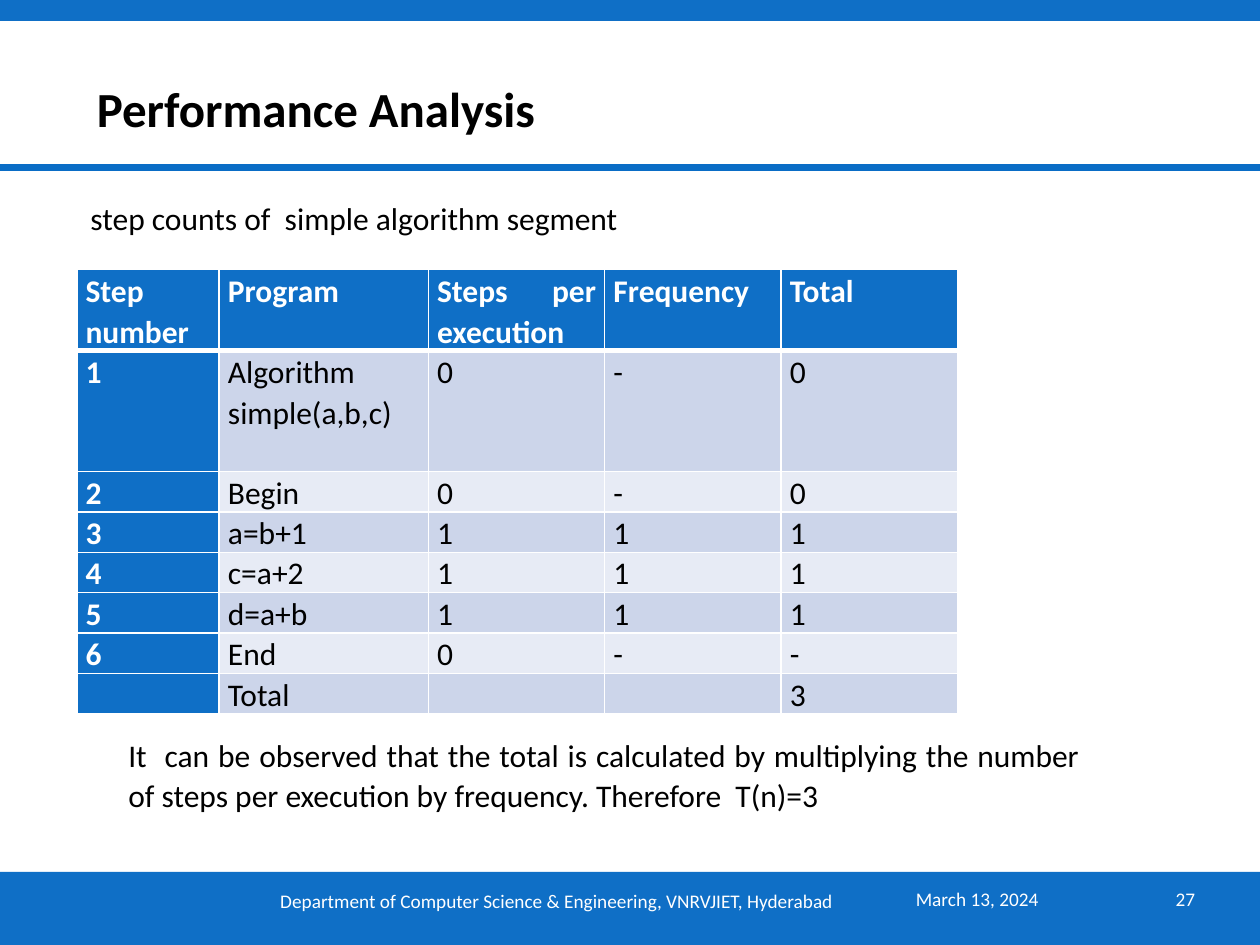
import lxml.etree
import pptx
import pptx.dml.color
import pptx.enum.shapes
import pptx.enum.text
import pptx.oxml.ns
import pptx.util

Pt = pptx.util.Pt
qn = pptx.oxml.ns.qn
Align = pptx.enum.text.PP_ALIGN
Anchor = pptx.enum.text.MSO_ANCHOR
HUES = {"blue": "0F6FC6", "rule": "0A6DC6", "white": "FFFFFF",
        "black": "000000", "dark": "CCD5EA", "light": "E7EBF5"}
BODY = {"alignment": Align.JUSTIFY, "line_spacing": 1.07}
PROSE = {**BODY, "space_after": Pt(8)}
INSET = {"margin_left": Pt(5), "margin_right": Pt(5),
         "margin_top": 0, "margin_bottom": 0}
STEPS = [
    ["Step number", "Program", "Steps per execution", "Frequency", "Total"],
    ["1", "Algorithm simple(a,b,c)", "0", "-", "0"],
    ["2", "Begin", "0", "-", "0"],
    ["3", "a=b+1", "1", "1", "1"],
    ["4", "c=a+2", "1", "1", "1"],
    ["5", "d=a+b", "1", "1", "1"],
    ["6", "End", "0", "-", "-"],
    ["", "Total", "", "", "3"],
]
WIDTHS = [81.36, 119.52, 100.8, 100.8, 100.8]
HEIGHTS = [44.64, 69] + [21.6] * 6


def apply(item, style):
    for name, value in style.items():
        setattr(item, name, value)


class Deck:
    """Holds the text style and the current slide."""

    def __init__(self, slide, face="Calibri"):
        self.slide = slide
        self.face = face

    def hue(self, name):
        return pptx.dml.color.RGBColor.from_string(HUES[name])

    def words(self, frame, text, size, hue, bold=False, para=None):
        first = frame.paragraphs[0]
        apply(first, para or {})
        run = first.add_run()
        run.text = text
        apply(run.font, {"name": self.face, "size": Pt(size), "bold": bold})
        run.font.color.rgb = self.hue(hue)

    def band(self, top, height):
        bar = self.slide.shapes.add_shape(
            pptx.enum.shapes.MSO_SHAPE.RECTANGLE, 0, Pt(top), Pt(720), Pt(height))
        bar.shadow.inherit = False
        bar.fill.solid()
        bar.fill.fore_color.rgb = self.hue("blue")
        bar.line.fill.background()

    def rule(self, top, width):
        line = self.slide.shapes.add_connector(
            pptx.enum.shapes.MSO_CONNECTOR.STRAIGHT, 0, Pt(top), Pt(720), Pt(top))
        line.line.color.rgb = self.hue("rule")
        line.line.width = Pt(width)
        lxml.etree.SubElement(line._element.spPr, qn("a:effectLst"))

    def text(self, area, text, size, hue="black", bold=False, para=None, **style):
        box = self.slide.shapes.add_textbox(*map(Pt, area))
        apply(box.text_frame, {"word_wrap": True, **style})
        self.words(box.text_frame, text, size, hue, bold, para)
        return box

    def edge(self, cell, side, width):
        props = cell._tc.get_or_add_tcPr()
        line = lxml.etree.SubElement(props, qn("a:ln" + side), w=str(Pt(width)))
        fill = lxml.etree.SubElement(line, qn("a:solidFill"))
        lxml.etree.SubElement(fill, qn("a:srgbClr"), val=HUES["white"])

    def cell(self, cell, row, col, text):
        head = row == 0 or col == 0
        apply(cell, INSET)
        thick = {(0, "B"): 3, (1, "T"): 3}
        for side in "LRTB":
            self.edge(cell, side, thick.get((row, side), 1))
        cell.fill.solid()
        shade = "blue" if head else "dark" if row % 2 else "light"
        cell.fill.fore_color.rgb = self.hue(shade)
        if text:
            self.words(cell.text_frame, text, 18,
                       "white" if head else "black", head, BODY)

    def table(self, left, top, rows, widths, heights):
        area = map(Pt, (left, top, sum(widths), sum(heights)))
        grid = self.slide.shapes.add_table(len(rows), len(widths), *area).table
        apply(grid, {"first_row": False, "horz_banding": False})
        for col, width in zip(grid.columns, widths):
            col.width = Pt(width)
        for row, height in zip(grid.rows, heights):
            row.height = Pt(height)
        for r, row in enumerate(rows):
            for c, text in enumerate(row):
                self.cell(grid.cell(r, c), r, c, text)


def main():
    show = pptx.Presentation()
    apply(show, {"slide_width": Pt(720), "slide_height": Pt(540)})
    deck = Deck(show.slides.add_slide(show.slide_layouts[6]))
    mid = {"vertical_anchor": Anchor.MIDDLE}
    deck.band(498.24, 41.76)
    deck.band(0, 12)
    deck.rule(95.76, 4)
    title = deck.text((12.24, 27.36, 617.76, 68.4), "Performance Analysis", 28,
                      bold=True, para={"alignment": Align.JUSTIFY}, **mid)
    title.text_frame.paragraphs[0]._p.get_or_add_pPr().set("marL", str(Pt(36)))
    deck.text((516.24, 499, 108, 28.8), "March 13, 2024", 11, "white", **mid)
    deck.text((120.24, 500.4, 396, 28.8),
              "Department of Computer Science & Engineering, VNRVJIET, Hyderabad",
              11, "white", para={"alignment": Align.CENTER}, **mid)
    deck.text((630, 499, 60, 28.8), "27", 11, "white",
              para={"alignment": Align.RIGHT}, margin_left=0, **mid)
    deck.text((44.64, 108.72, 631.44, 61.2),
              "step counts of  simple algorithm segment", 18, para=PROSE)
    deck.table(43.92, 154.08, STEPS, WIDTHS, HEIGHTS)
    deck.text((66.24, 415.44, 558, 52.56),
              "It  can be observed that the total is calculated by multiplying "
              "the number of steps per execution by frequency. Therefore  T(n)=3",
              18, para=PROSE)
    show.save("out.pptx")


if __name__ == "__main__":
    main()
